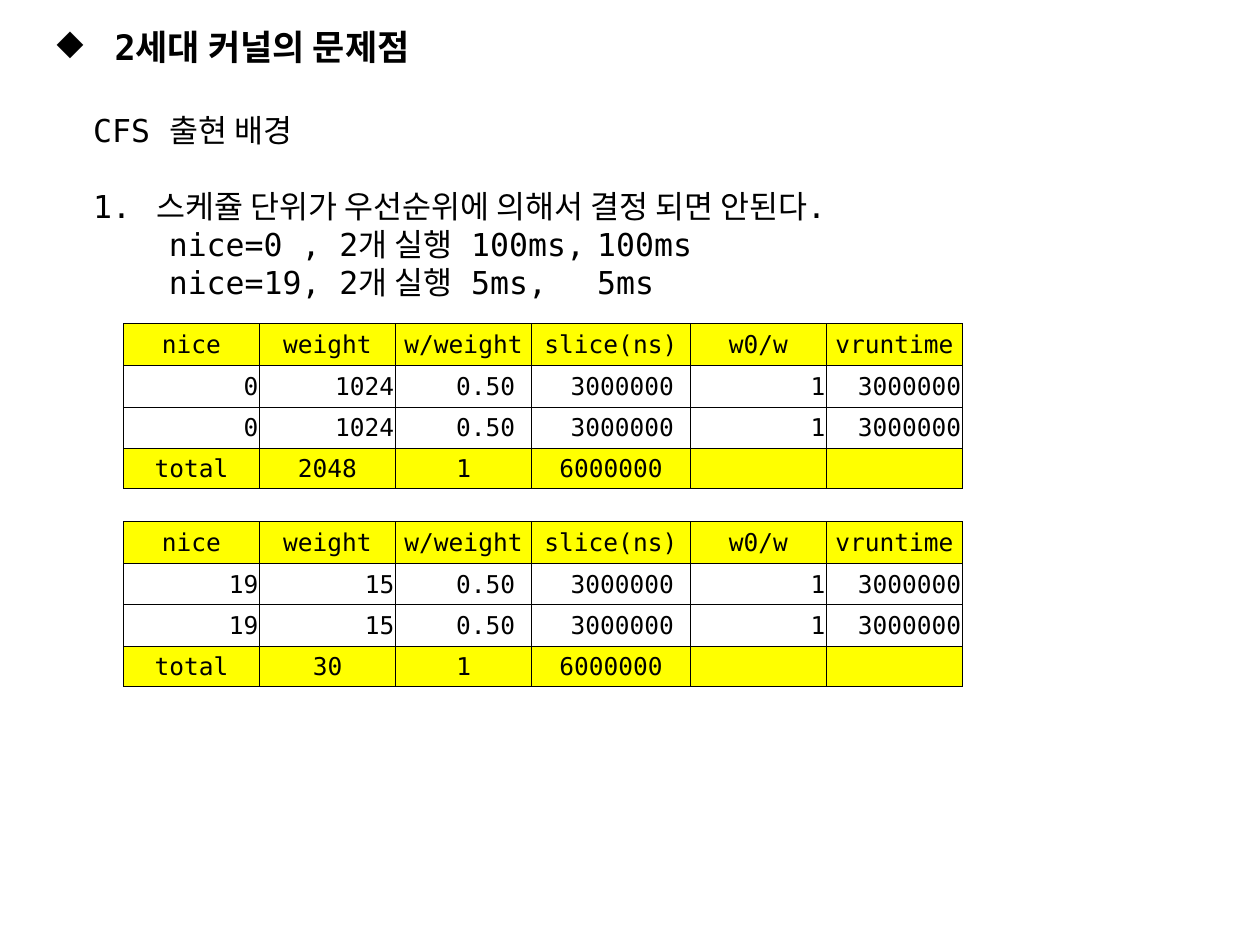
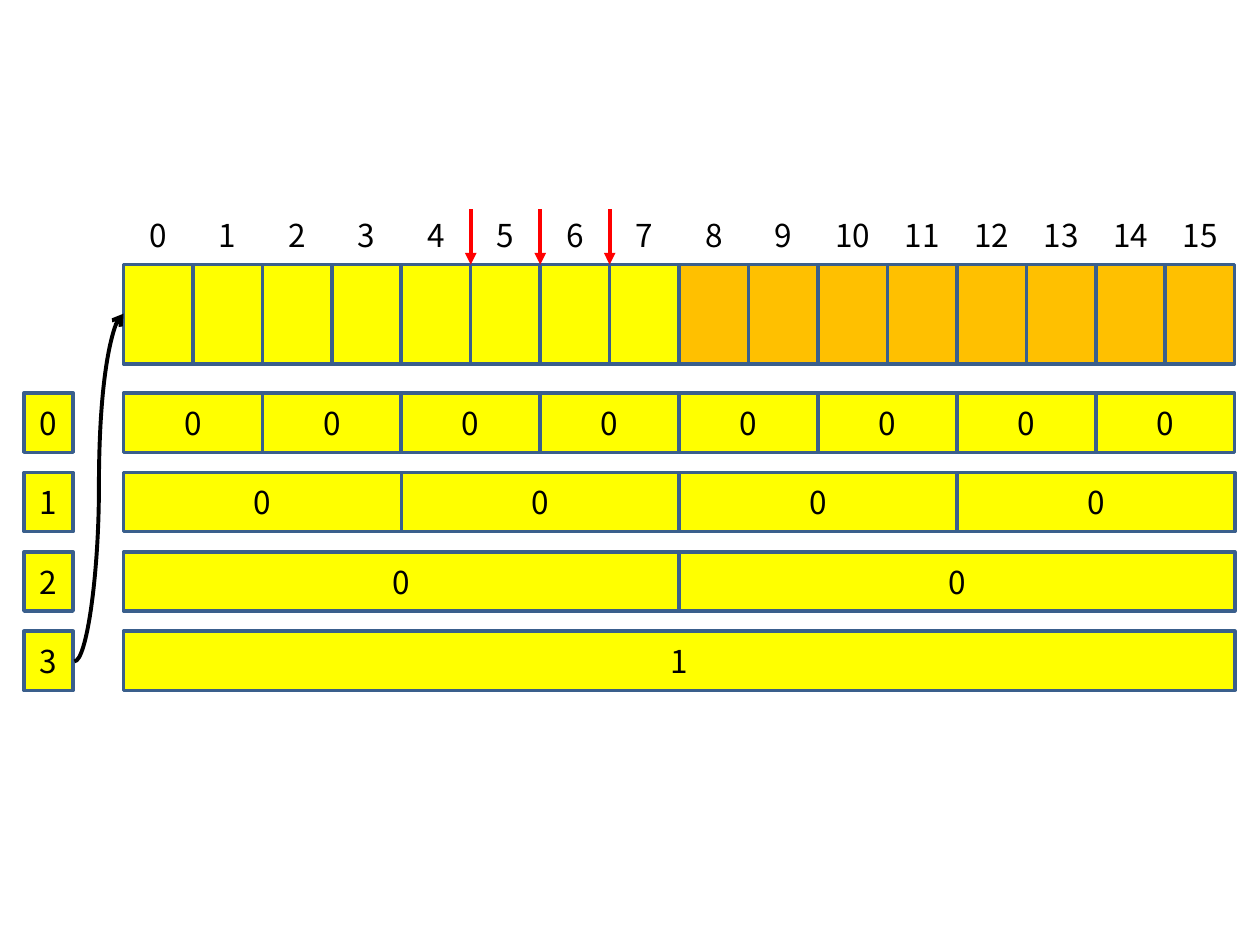
import dataclasses

import pptx
import pptx.dml.color
import pptx.enum.shapes
import pptx.enum.text
import pptx.oxml
import pptx.oxml.ns
import pptx.util
from pptx.util import Inches

SHAPES = pptx.enum.shapes.MSO_SHAPE
CONNECTORS = pptx.enum.shapes.MSO_CONNECTOR
ALIGN = pptx.enum.text.PP_ALIGN
ANCHOR = pptx.enum.text.MSO_ANCHOR


@dataclasses.dataclass(frozen=True)
class Theme:
    """Colours, fonts and sizes (points) shared by the slides."""
    black: str = "000000"
    yellow: str = "FFFF00"
    orange: str = "FFC000"
    red: str = "FF0000"
    outline: str = "3A5F8C"
    mono: str = "DejaVu Sans Mono"
    sans: str = "Noto Sans CJK KR"
    title_size: float = 20
    title_pitch: float = 24
    body_size: float = 18
    body_pitch: float = 21.7
    table_size: float = 14
    box_line: float = 2
    arrow_line: float = 2.25
    border: float = 0.5


def color(value):
    return pptx.dml.color.RGBColor.from_string(value)


def add_xml(parent, text):
    """Append a drawing element given without its namespace declaration."""
    tag, rest = text.split(" ", 1)
    namespace = pptx.oxml.ns.nsdecls("a")
    element = pptx.oxml.parse_xml(f"{tag} {namespace} {rest}")
    parent.append(element)


class Painter:
    def __init__(self, deck, theme):
        self.deck = deck
        self.theme = theme
        self.page = None

    def new_page(self, layout):
        self.page = self.deck.slides.add_slide(self.deck.slide_layouts[layout])

    def add_span(self, para, text, size, font, bold=False):
        span = para.add_run()
        span.text = text
        span.font.size = pptx.util.Pt(size)
        span.font.name = font
        span.font.bold = bold
        span.font.color.rgb = color(self.theme.black)
        add_xml(span.font._element, f'<a:ea typeface="{self.theme.sans}"/>')

    def frame(self, shape, anchor):
        """Give a shape's text frame no margins, and return it."""
        frame = shape.text_frame
        frame.word_wrap = True
        frame.auto_size = pptx.enum.text.MSO_AUTO_SIZE.NONE
        frame.vertical_anchor = anchor
        frame.margin_left = frame.margin_right = 0
        frame.margin_top = frame.margin_bottom = 0
        return frame

    def title(self, text):
        shape = self.page.shapes.title
        shape.left, shape.top = Inches(0.45), Inches(0.2)
        shape.width, shape.height = Inches(9), Inches(0.4)
        para = self.frame(shape, ANCHOR.TOP).paragraphs[0]
        para.alignment = ALIGN.LEFT
        para.line_spacing = pptx.util.Pt(self.theme.title_pitch)
        para.space_before = pptx.util.Pt(0)
        properties = para._p.get_or_add_pPr()
        properties.set("marL", str(Inches(0.46)))
        properties.set("indent", str(-Inches(0.46)))
        add_xml(properties, '<a:buChar char="◆"/>')
        self.add_span(para, text, self.theme.title_size, self.theme.mono, bold=True)

    def body(self, left, top, width, height, lines):
        """Lines of (text, blank lines before, indent, tab stops)."""
        shape = self.page.shapes.add_textbox(
            Inches(left), Inches(top), Inches(width), Inches(height))
        frame = self.frame(shape, ANCHOR.TOP)
        pitch = self.theme.body_pitch
        for number, (text, gap, indent, tabs) in enumerate(lines):
            para = frame.add_paragraph() if number else frame.paragraphs[0]
            para.line_spacing = pptx.util.Pt(pitch)
            para.space_before = pptx.util.Pt(gap * pitch)
            properties = para._p.get_or_add_pPr()
            properties.set("marL", "0")
            properties.set("indent", str(Inches(indent)))
            stops = "".join(f'<a:tab pos="{Inches(tab)}" algn="l"/>' for tab in tabs)
            if stops:
                add_xml(properties, f"<a:tabLst >{stops}</a:tabLst>")
            self.add_span(para, text, self.theme.body_size, self.theme.mono)

    def table(self, left, top, widths, heights, rows, padded):
        """Yellow first and last rows; numbers in padded columns sit further in."""
        table = self.page.shapes.add_table(
            len(rows), len(widths), Inches(left), Inches(top),
            Inches(sum(widths)), Inches(sum(heights))).table
        table.first_row = table.horz_banding = False
        for column, width in zip(table.columns, widths):
            column.width = Inches(width)
        for r, (values, height) in enumerate(zip(rows, heights)):
            table.rows[r].height = Inches(height)
            shaded = r in (0, len(rows) - 1)
            for c, value in enumerate(values):
                cell = table.cell(r, c)
                indented = c in padded and not shaded
                self.cell(cell, value, shaded, 0.13 if indented else 0.01)

    def cell(self, cell, value, shaded, right):
        cell.vertical_anchor = ANCHOR.MIDDLE
        cell.margin_left = cell.margin_top = Inches(0.01)
        cell.margin_right, cell.margin_bottom = Inches(right), 0
        properties = cell._tc.get_or_add_tcPr()
        for side in "LRTB":
            add_xml(properties,
                    f'<a:ln{side} w="{pptx.util.Pt(self.theme.border)}"><a:solidFill>'
                    f'<a:srgbClr val="{self.theme.black}"/></a:solidFill></a:ln{side}>')
        if shaded:
            cell.fill.solid()
            cell.fill.fore_color.rgb = color(self.theme.yellow)
        else:
            cell.fill.background()
        para = cell.text_frame.paragraphs[0]
        para.alignment = ALIGN.CENTER if shaded else ALIGN.RIGHT
        if value:
            self.add_span(para, value, self.theme.table_size, self.theme.mono)

    def centered(self, shape, text):
        para = self.frame(shape, ANCHOR.MIDDLE).paragraphs[0]
        para.alignment = ALIGN.CENTER
        self.add_span(para, text, self.theme.body_size, self.theme.sans)

    def label(self, left, top, width, height, text):
        shape = self.page.shapes.add_textbox(
            Inches(left), Inches(top), Inches(width), Inches(height))
        self.centered(shape, text)

    def box(self, left, top, width, height, fill, text=""):
        shape = self.page.shapes.add_shape(
            SHAPES.RECTANGLE, Inches(left), Inches(top), Inches(width), Inches(height))
        shape.shadow.inherit = False
        shape.fill.solid()
        shape.fill.fore_color.rgb = color(fill)
        shape.line.color.rgb = color(self.theme.outline)
        shape.line.width = pptx.util.Pt(self.theme.box_line)
        if text:
            self.centered(shape, text)

    def arrow(self, kind, start, end, tint, head):
        line = self.page.shapes.add_connector(
            kind, *(Inches(value) for value in (*start, *end)))
        line.line.color.rgb = color(tint)
        line.line.width = pptx.util.Pt(self.theme.arrow_line)
        add_xml(line.line._get_or_add_ln(), f'<a:tailEnd type="{head}"/>')
        add_xml(line._element.spPr, "<a:effectLst />")


def scheduling_page(painter):
    painter.new_page(5)
    painter.title("2세대 커널의 문제점")
    painter.body(0.74, 0.88, 8.5, 1.6, [
        ("CFS 출현 배경", 0, 0, []),
        ("1.\t스케쥴 단위가 우선순위에 의해서 결정 되면 안된다.", 1, 0, [0.66]),
        ("nice=0 , 2개 실행\t100ms,\t100ms", 0, 0.6, [3.34, 4.69]),
        ("nice=19, 2개 실행\t5ms,\t5ms", 0, 0.6, [3.34, 4.39]),
    ])
    # One table for each nice level
    header = ["nice", "weight", "w/weight", "slice(ns)", "w0/w", "vruntime"]
    for top, nice, weight in ((2.57, 0, 1024), (4.14, 19, 15)):
        task = [str(nice), str(weight), "0.50", "3000000", "1", "3000000"]
        total = ["total", str(2 * weight), "1", "6000000", "", ""]
        painter.table(0.98, top, [1.08, 1.08, 1.08, 1.26, 1.08, 1.08],
                      [0.33, 0.33, 0.33, 0.32],
                      [header, task, task, total], padded=(2, 3))


def buddy_page(painter):
    theme = painter.theme
    painter.new_page(6)
    left, full, count = 0.98, 8.82, 16
    unit = full / count
    # Memory blocks: the upper half is orange
    for block in range(count):
        fill = theme.yellow if block < count // 2 else theme.orange
        painter.box(left + block * unit, 2.1, unit, 0.79, fill)
    for block in range(count):
        painter.label(left + block * unit, 1.47, unit, 0.79, str(block))
    # Bitmaps: each order has half as many cells as the one above
    for order in range(4):
        top = 3.12 + order * 0.63
        cells = count // 2 ** (order + 1)
        width = full / cells
        for cell in range(cells):
            painter.box(left + cell * width, top, width, 0.47, theme.yellow,
                        "1" if order == 3 else "0")
        painter.box(0.19, top, 0.39, 0.47, theme.yellow, str(order))
    # Free list pointer and split marks
    painter.arrow(CONNECTORS.CURVE, (0.59, 5.25), (left, 2.49), theme.black, "arrow")
    for border in (7, 6, 5):
        x = left + border * unit
        painter.arrow(CONNECTORS.STRAIGHT, (x, 1.66), (x, 2.1), theme.red, "triangle")


deck = pptx.Presentation()
deck.slide_width, deck.slide_height = Inches(10), Inches(7.5)
painter = Painter(deck, Theme())
scheduling_page(painter)
buddy_page(painter)
deck.save("out.pptx")
